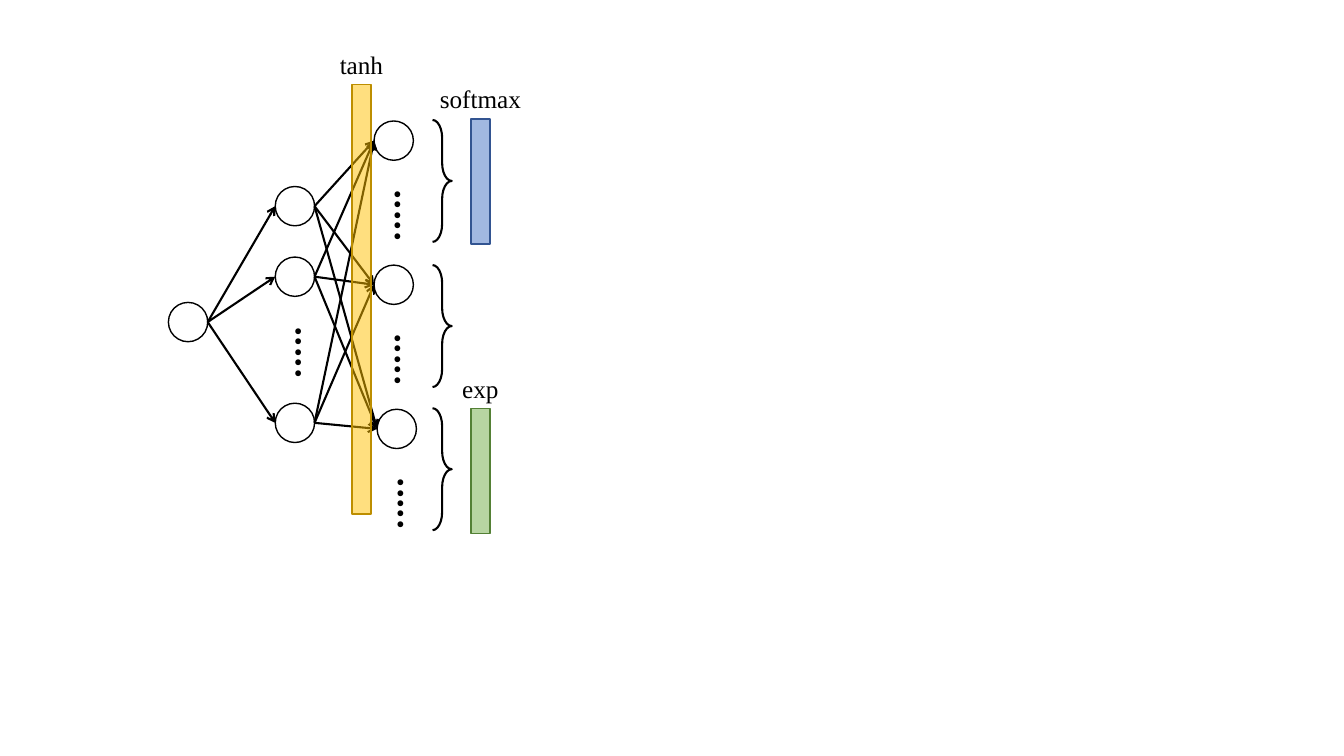
from itertools import product

from lxml import etree
from pptx import Presentation
from pptx import util as u
from pptx.dml.color import RGBColor
from pptx.enum import shapes, text
from pptx.oxml.ns import qn

COLORS = {
    "ink": "000000", "node": "FFFFFF",
    "tanh": "FFC000", "tanh_edge": "BD8E00",
    "softmax": "4472C4", "softmax_edge": "325491",
    "exp": "70AD47", "exp_edge": "538035",
}
CELL = u.Inches(0.1)
NODE = 3.9
DOTS_FONT = {"name": "Calibri", "size": u.Pt(28), "bold": True}
LABEL_FONT = {"name": "Times New Roman", "size": u.Pt(18)}


def cells(*values):
    return [round(v * CELL) for v in values]


def rgb(name):
    return RGBColor.from_string(COLORS[name])


def add_shape(slide, kind, box, fill=None, edge="ink", weight=1, alpha=None):
    sp = slide.shapes.add_shape(kind, *cells(*box))
    sp.shadow.inherit = False
    sp.line.color.rgb = rgb(edge)
    sp.line.width = u.Pt(weight)
    if fill is None:
        sp.fill.background()
        return sp
    sp.fill.solid()
    sp.fill.fore_color.rgb = rgb(fill)
    if alpha is not None:
        color = sp.fill._xPr.find(".//" + qn("a:srgbClr"))
        etree.SubElement(color, qn("a:alpha"), val=str(alpha * 1000))
    return sp


def add_text(slide, box, words, font, align=None, vert=None):
    tf = slide.shapes.add_textbox(*cells(*box)).text_frame
    tf.word_wrap = True
    tf.auto_size = text.MSO_AUTO_SIZE.SHAPE_TO_FIT_TEXT
    if vert:
        tf._txBody.bodyPr.set("vert", vert)
    p = tf.paragraphs[0]
    p.alignment = align
    r = p.add_run()
    r.text = words
    r.font.color.rgb = rgb("ink")
    for key, value in font.items():
        setattr(r.font, key, value)


def add_node(slide, x, y):
    add_shape(slide, shapes.MSO_SHAPE.OVAL, (x, y, NODE, NODE), "node")


def add_dots(slide, x, y):
    add_text(slide, (x, y, 6.7, 8.3), ".....", DOTS_FONT, vert="eaVert")


def add_arrow(slide, source, target):
    (x1, y1), (x2, y2) = source, target
    ends = cells(x1 + NODE, y1 + NODE / 2, x2, y2 + NODE / 2)
    line = slide.shapes.add_connector(shapes.MSO_CONNECTOR.STRAIGHT, *ends)
    line.line.color.rgb = rgb("ink")
    line.line.width = u.Pt(1.5)
    etree.SubElement(line.line._get_or_add_ln(), qn("a:tailEnd"), type="arrow")
    etree.SubElement(line._element.spPr, qn("a:effectLst"))


def add_activation(slide, name, bar, label):
    add_shape(slide, shapes.MSO_SHAPE.RECTANGLE, bar, name, name + "_edge", alpha=50)
    add_text(slide, label, name, LABEL_FONT, text.PP_ALIGN.CENTER)


def add_network(slide, left, top):
    inputs = [(left, top + 25.6)]
    hidden = [(left + 10.6, top + y) for y in (14.1, 21.1, 35.6)]
    outputs = [(left + x, top + 7.6 + 14.3 * i) for i, x in enumerate((20.4, 20.4, 20.7))]
    for x, y in inputs + hidden:
        add_node(slide, x, y)
    add_dots(slide, left + 10.3, top + 27)
    for x, y in outputs:
        add_node(slide, x, y)
        add_dots(slide, x - 0.25, y + 5.8)
    for layer, following in ((inputs, hidden), (hidden, outputs)):
        for source, target in product(layer, following):
            add_arrow(slide, source, target)
    add_activation(slide, "tanh", (left + 18.2, top + 4, 1.9, 42.6), (left + 15.6, top, 7.1, 4))


def add_heads(slide, left, top):
    for y in (4.1, 18.5, 32.7):
        brace = add_shape(slide, shapes.MSO_SHAPE.RIGHT_BRACE,
                          (left + 0.4, top + y, 1.9, 12.1), weight=1.5)
        brace.adjustments[0] = 0.94
    for name, y in (("softmax", 0), ("exp", 28.75)):
        add_activation(slide, name, (left + 4.2, top + y + 4, 1.9, 12.4),
                       (left, top + y, 10.3, 4))


def main():
    prs = Presentation()
    prs.slide_width, prs.slide_height = u.Inches(13.33), u.Inches(7.5)
    slide = prs.slides.add_slide(prs.slide_layouts[6])
    add_network(slide, 16.7, 4.4)
    add_heads(slide, 42.5, 7.8)
    prs.save("out.pptx")


if __name__ == "__main__":
    main()
